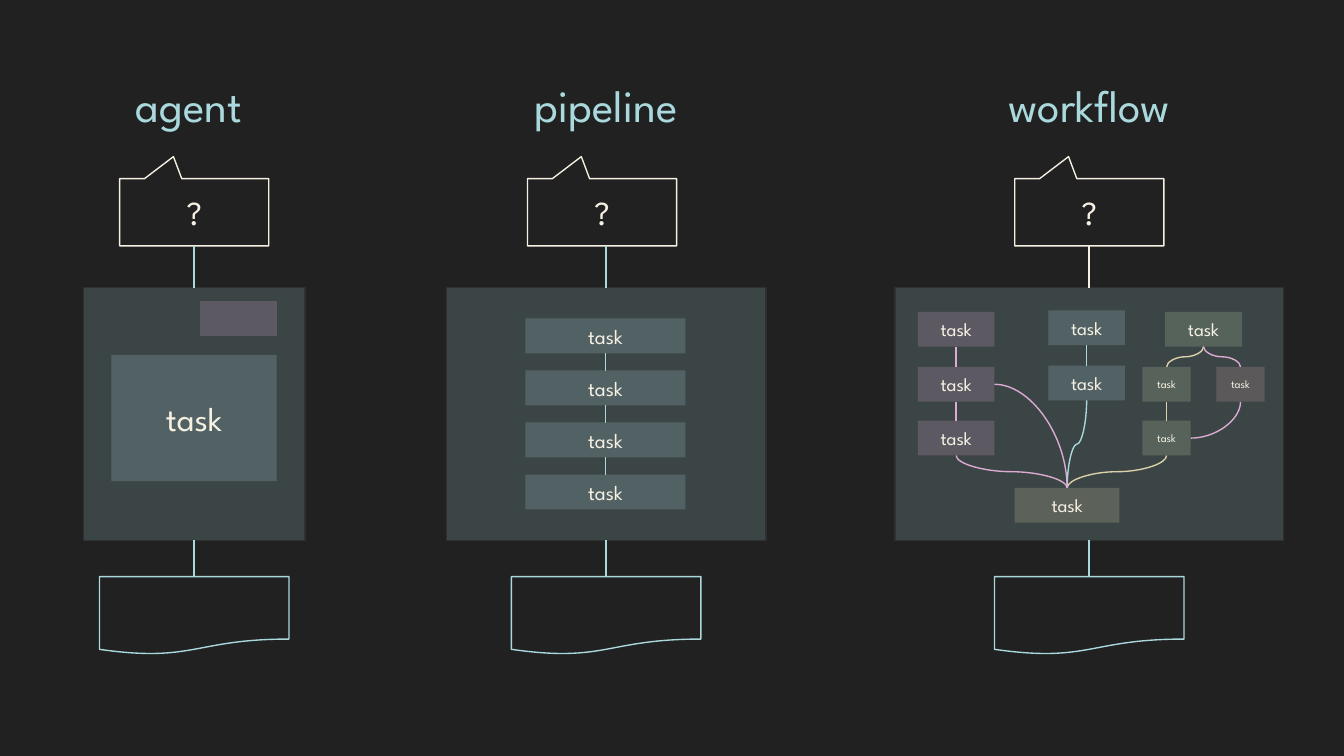
from itertools import pairwise
from lxml.etree import SubElement
from pptx import Presentation
from pptx.dml.color import RGBColor
from pptx.enum.shapes import MSO_CONNECTOR, MSO_SHAPE
from pptx.enum.text import MSO_ANCHOR, PP_ALIGN
from pptx.oxml.ns import qn
from pptx.util import Inches, Pt

HUES = {
    "back": "212121", "edge": "303030", "cream": "F5F0E2", "blue": "AAD9DD",
    "pink": "DDAAD3", "lime": "C1DDAA", "green": "C4DDAA", "red": "DDAAAA",
    "sand": "DDD1AA",
}
FONT = "League Spartan"
TOP, TALL = 2.14, 1.88
ROW = 0.26

deck = Presentation()
deck.slide_width = Inches(10)
deck.slide_height = deck.slide_width * 9 // 16
slide = deck.slides.add_slide(deck.slide_layouts[6])


def hue(name):
    return RGBColor.from_string(HUES[name])


slide.background.fill.solid()
slide.background.fill.fore_color.rgb = hue("back")


def write(shape, text, size, color):
    frame = shape.text_frame
    frame.word_wrap = True
    frame.vertical_anchor = MSO_ANCHOR.MIDDLE
    frame.margin_left = frame.margin_right = Inches(0.1)
    frame.margin_top = frame.margin_bottom = Inches(0.1)
    para = frame.paragraphs[0]
    para.text = text
    para.alignment = PP_ALIGN.CENTER
    para.font.size, para.font.name = Pt(size), FONT
    para.font.color.rgb = hue(color)


def block(kind, box, fill=None, line=None, text="", size=10):
    shape = slide.shapes.add_shape(kind, *map(Inches, box))
    shape.shadow.inherit = False
    if fill:
        shape.fill.solid()
        shape.fill.fore_color.rgb = hue(fill)
        tint = shape.fill._xPr.find(".//" + qn("a:srgbClr"))
        SubElement(tint, qn("a:alpha")).set("val", "20000")
    else:
        shape.fill.background()
    if line:
        shape.line.color.rgb = hue(line)
        shape.line.width = Pt(0.75)
    else:
        shape.line.fill.background()
    if text:
        write(shape, text, size, "cream")
    return shape


def task(x, y, wide, fill, size=10, high=ROW):
    return block(MSO_SHAPE.RECTANGLE, (x, y, wide, high), fill, None, "task", size)


def wire(start, end, color, bend=False, side=False):
    (x1, y1), (x2, y2) = start, end
    wide, high = (abs(x2 - x1), y2 - y1) if side else (y2 - y1, abs(x2 - x1))
    left, top = (x1 + x2 - wide) // 2, (y1 + y2 - high) // 2
    ends = [left, left + wide]
    flip = not side and x2 >= x1
    if flip:
        ends.reverse()
    line = slide.shapes.add_connector(
        MSO_CONNECTOR.CURVE, ends[0], top, ends[1], top + high)
    line.line.color.rgb = hue(color)
    line.line.width = Pt(0.75)
    props = line._element.spPr
    SubElement(props, qn("a:effectLst"))
    if not side:
        props.find(qn("a:xfrm")).set("rot", str((270 if flip else 90) * 60000))
    if bend:
        props.find(qn("a:prstGeom")).set("prst", "curvedConnector2")


def head(shape):
    return shape.left + shape.width // 2, shape.top


def foot(shape):
    return shape.left + shape.width // 2, shape.top + shape.height


def link(above, below, color):
    wire(foot(above), head(below), color)


def column(left, wide, name, span, stem="blue", ask=0, shift=0):
    mid = left + wide / 2
    title = slide.shapes.add_textbox(
        *map(Inches, (mid + shift - span / 2, 0.46, span, 0.63)))
    write(title, name, 24, "blue")
    call = block(MSO_SHAPE.ROUNDED_RECTANGULAR_CALLOUT,
                 (mid + ask - 0.555, 1.33, 1.11, 0.5), None, "cream", "?", 18)
    for i, value in enumerate((-0.139, -0.829, 0)):
        call.adjustments[i] = value
    panel = block(MSO_SHAPE.RECTANGLE, (left, TOP, wide, TALL), "blue", "edge")
    page = block(MSO_SHAPE.FLOWCHART_DOCUMENT,
                 (mid - 0.705, 4.29, 1.41, 0.58), None, "blue")
    x, y = head(panel)
    wire((x, call.top + call.height), (x, y), stem)
    wire(foot(panel), (x, page.top), "blue")


def agent(left, top):
    block(MSO_SHAPE.RECTANGLE, (left + 0.87, top + 0.1, 0.57, ROW), "pink")
    task(left + 0.21, top + 0.5, 1.23, "blue", 18, 0.94)


def chain(left, top):
    steps = [task(left + 0.59, top + 0.23 + 0.387 * i, 1.19, "blue", 11)
             for i in range(4)]
    for above, below in pairwise(steps):
        link(above, below, "blue")


def graph(left, top):
    def put(x, y, fill, wide=0.57, size=10):
        return task(left + x, top + y, wide, fill, size)

    pinks = [put(0.17, y, "pink") for y in (0.18, 0.59, 0.99)]
    blues = [put(1.14, y, "blue") for y in (0.17, 0.58)]
    root = put(2.01, 0.18, "lime")
    red = put(2.39, 0.59, "red", 0.36, 6)
    greens = [put(1.84, y, "green", 0.36, 6) for y in (0.59, 0.99)]
    goal = put(0.89, 1.49, "sand", 0.78)

    for nodes, color in ((pinks + [goal], "pink"), (blues + [goal], "blue"),
                         ([root] + greens + [goal], "sand"), ([root, red], "pink")):
        for above, below in pairwise(nodes):
            link(above, below, color)
    last, fork = greens[-1], pinks[1]
    wire(foot(red), (last.left + last.width, last.top + last.height // 2),
         "pink", bend=True)
    wire((fork.left + fork.width, fork.top + fork.height // 2), head(goal),
         "pink", bend=True, side=True)


column(0.62, 1.65, "agent", 1.9, shift=-0.04)
agent(0.62, TOP)
column(3.32, 2.38, "pipeline", 1.9, ask=-0.03)
chain(3.32, TOP)
column(6.66, 2.89, "workflow", 2.55, stem="cream")
graph(6.66, TOP)

deck.save("out.pptx")
